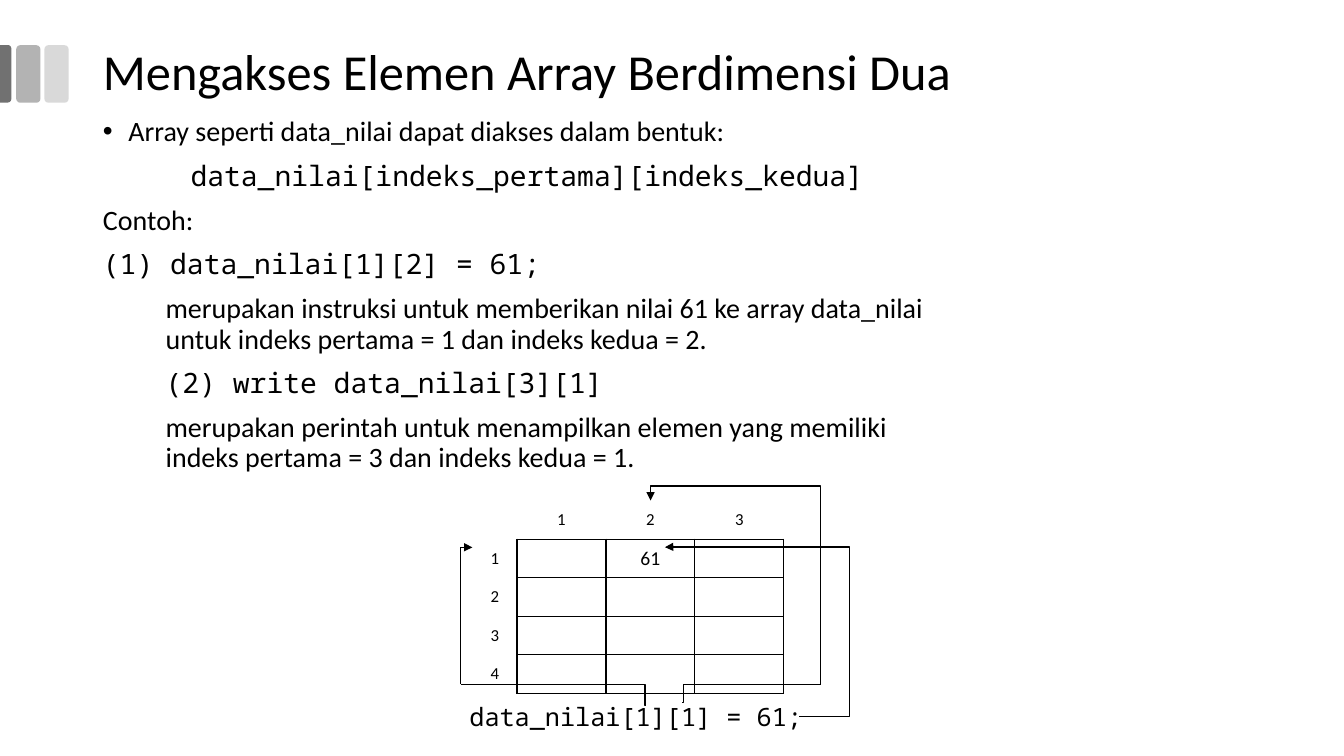
from lxml.etree import SubElement
from pptx import Presentation
from pptx.dml.color import RGBColor
from pptx.enum.shapes import MSO_CONNECTOR as Connector, MSO_SHAPE as Shape
from pptx.enum.text import MSO_ANCHOR as Anchor, MSO_AUTO_SIZE as AutoSize, PP_ALIGN as Align
from pptx.oxml.ns import qn
from pptx.util import Cm, Pt

COLORS = {"ink": "000000", "paper": "FFFFFF",
          "light": "D9D9D9", "middle": "B3B3B3", "dark": "717171"}
SANS, MONO = "Calibri", "Noto Sans Mono"

TITLE = "Mengakses Elemen Array Berdimensi Dua"
TITLE_BOX = (2.34, 0.03, 29.21, 3.68)
BODY_BOX = (2.34, 2.84, 21.89, 12.09)
# text, font, alignment, left margin, first-line indent, bulleted
BODY = [
    ("Array seperti data_nilai dapat diakses dalam bentuk:", SANS, Align.LEFT, 0.64, -0.64, True),
    ("data_nilai[indeks_pertama][indeks_kedua]", MONO, Align.CENTER, 0, 0, False),
    ("Contoh:", SANS, Align.LEFT, 0, 0, False),
    ("(1) data_nilai[1][2] = 61;", MONO, Align.LEFT, 0, 0, False),
    ("merupakan instruksi untuk memberikan nilai 61 ke array data_nilai "
     "untuk indeks pertama = 1 dan indeks kedua = 2.", SANS, Align.LEFT, 1.58, 0, False),
    ("(2) write data_nilai[3][1]", MONO, Align.LEFT, 1.58, 0, False),
    ("merupakan perintah untuk menampilkan elemen yang memiliki "
     "indeks pertama = 3 dan indeks kedua = 1.", SANS, Align.LEFT, 1.58, 0, False),
]
GRID = [
    ["", "1", "2", "3"],
    ["1", "", "61", ""],
    ["2", "", "", ""],
    ["3", "", "", ""],
    ["4", "", "", ""],
]
GRID_LEFT, GRID_TOP = 11.91, 12.62
LABEL_WIDTH, VALUE_WIDTH, ROW_HEIGHT = 1.12, 2.24, 0.97
STATEMENT = "data_nilai[1][1] = 61;"
STATEMENT_BOX = (11.58, 17.55, 8.92, 1.02)
# preset, box, color, rotation, corner adjustments
BARS = [
    (Shape.ROUNDED_RECTANGLE, (1.12, 1.14, 0.61, 1.45), "light", 0, [0.167]),
    (Shape.ROUNDED_RECTANGLE, (0.41, 1.14, 0.61, 1.45), "middle", 0, [0.167]),
    (Shape.ROUND_2_SAME_RECTANGLE, (-0.59, 1.71, 1.45, 0.3), "dark", 90, [0.292, 0]),
]
# box before rotation, rotation, flips, bend positions in 1/100000, arrowhead
ELBOWS = [
    ((11.61, 17.25, 4.65, 0.53), 180, "", [200], False),
    ((10.03, 15.37, 3.45, 0.3), 90, "HV", [100100], True),
    ((17.2, 17.25, 3.48, 0.46), 0, "V", [800], False),
    ((16.23, 12.78, 4.62, 4.29), 270, "V", [108000], True),
    ((16.76, 13.79, 3.38, 4.27), 0, "HV", [-37600, 100200], True),
]


def rgb(name):
    return RGBColor.from_string(COLORS[name])


def set_all(target, values):
    for name, value in values.items():
        setattr(target, name, value)


def place(shape, box):
    set_all(shape, dict(zip(("left", "top", "width", "height"), map(Cm, box))))


def write(paragraph, text, font, size, **formats):
    run = paragraph.add_run()
    run.text = text
    set_all(run.font, {"name": font, "size": Pt(size)})
    run.font.color.rgb = rgb("ink")
    set_all(paragraph, formats)


def add_bar(slide, preset, box, color, rotation, adjustments):
    bar = slide.shapes.add_shape(preset, *map(Cm, box))
    bar.rotation = rotation
    for index, value in enumerate(adjustments):
        bar.adjustments[index] = value
    bar.fill.solid()
    bar.fill.fore_color.rgb = rgb(color)
    bar.line.fill.background()
    bar.shadow.inherit = False


def fill_body(body):
    place(body, BODY_BOX)
    frame = body.text_frame
    frame.auto_size = AutoSize.NONE
    for index, (text, font, align, margin, indent, bulleted) in enumerate(BODY):
        paragraph = frame.add_paragraph() if index else frame.paragraphs[0]
        write(paragraph, text, font, 20, alignment=align, line_spacing=0.9,
              space_before=Pt(10), space_after=Pt(0))
        properties = paragraph._p.get_or_add_pPr()
        properties.set("marL", str(Cm(margin)))
        properties.set("indent", str(Cm(indent)))
        if not bulleted:
            SubElement(properties, qn("a:buNone"))


def set_borders(cell, row, column):
    """Draw the value cells in ink and hide the outer edges of the labels."""
    is_value = row > 0 and column > 0
    inked = {"L": is_value, "R": row > 0, "T": is_value,
             "B": column > 0}
    for side, visible in inked.items():
        line = SubElement(cell._tc.get_or_add_tcPr(), qn("a:ln" + side), w=str(Pt(0.96)))
        fill = SubElement(line, qn("a:solidFill"))
        SubElement(fill, qn("a:srgbClr"), val=COLORS["ink" if visible else "paper"])


def add_grid(slide):
    widths = [LABEL_WIDTH] + [VALUE_WIDTH] * (len(GRID[0]) - 1)
    table = slide.shapes.add_table(
        len(GRID), len(widths), Cm(GRID_LEFT), Cm(GRID_TOP),
        Cm(sum(widths)), Cm(ROW_HEIGHT * len(GRID))).table
    set_all(table, {"first_row": False, "horz_banding": False})
    for column, width in zip(table.columns, widths):
        column.width = Cm(width)
    for row, values in enumerate(GRID):
        for column, text in enumerate(values):
            cell = table.cell(row, column)
            set_all(cell, {"vertical_anchor": Anchor.MIDDLE, "margin_top": 0, "margin_bottom": 0})
            set_borders(cell, row, column)
            cell.fill.background()
            if text:
                size = 14 if row and column else 12
                write(cell.text_frame.paragraphs[0], text, SANS, size, alignment=Align.CENTER)


def add_elbow(slide, box, rotation, flips, bends, has_arrow):
    left, top, width, height = box
    elbow = slide.shapes.add_connector(
        Connector.ELBOW, Cm(left), Cm(top), Cm(left + width), Cm(top + height))
    elbow.line.color.rgb = rgb("ink")
    elbow.line.width = Pt(1)
    properties = elbow._element.spPr
    frame = properties.find(qn("a:xfrm"))
    frame.set("rot", str(rotation * 60000))
    for flip in flips:
        frame.set("flip" + flip, "1")
    geometry = properties.find(qn("a:prstGeom"))
    geometry.set("prst", f"bentConnector{len(bends) + 2}")
    guides = geometry.find(qn("a:avLst"))
    for number, bend in enumerate(bends, 1):
        SubElement(guides, qn("a:gd"), name=f"adj{number}", fmla=f"val {bend}")
    if has_arrow:
        SubElement(properties.find(qn("a:ln")), qn("a:tailEnd"), type="triangle")
    SubElement(properties, qn("a:effectLst"))


def main():
    presentation = Presentation()
    set_all(presentation, {"slide_width": Cm(33.87), "slide_height": Cm(19.05)})
    slide = presentation.slides.add_slide(presentation.slide_layouts[1])
    for bar in BARS:
        add_bar(slide, *bar)

    title = slide.shapes.title
    place(title, TITLE_BOX)
    set_all(title.text_frame, {"vertical_anchor": Anchor.MIDDLE, "auto_size": AutoSize.NONE})
    write(title.text_frame.paragraphs[0], TITLE, SANS, 36, alignment=Align.LEFT, line_spacing=0.9)
    fill_body(slide.placeholders[1])

    add_grid(slide)
    statement = slide.shapes.add_textbox(*map(Cm, STATEMENT_BOX))
    statement.text_frame.word_wrap = False
    write(statement.text_frame.paragraphs[0], STATEMENT, MONO, 18)
    for elbow in ELBOWS:
        add_elbow(slide, *elbow)
    presentation.save("out.pptx")


if __name__ == "__main__":
    main()
